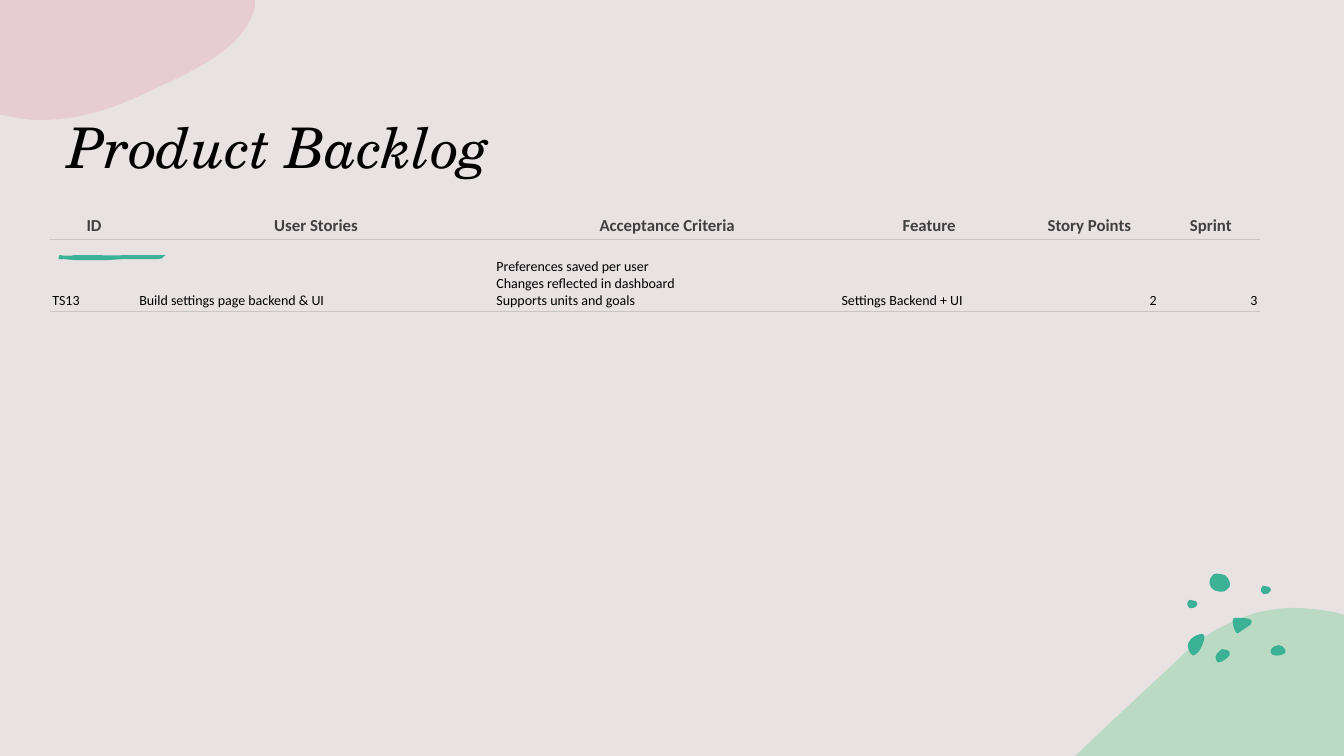
from dataclasses import dataclass

from lxml import etree
from pptx import Presentation
from pptx.dml.color import RGBColor
from pptx.enum.text import MSO_ANCHOR, PP_ALIGN
from pptx.oxml.ns import qn
from pptx.util import Cm, Pt

TOP, BOTTOM = MSO_ANCHOR.TOP, MSO_ANCHOR.BOTTOM
LEFT, MIDDLE, RIGHT = PP_ALIGN.LEFT, PP_ALIGN.CENTER, PP_ALIGN.RIGHT


@dataclass(frozen=True)
class Theme:
    back: str = "E8E2E3"
    pink: str = "E7B8C0"
    green: str = "90D3A7"
    teal: str = "3BB195"
    rule: str = "C7C6C1"
    head: str = "404040"
    ink: str = "000000"
    serif: str = "TeX Gyre Schola"
    sans: str = "Calibri"
    title: int = 40
    label: int = 12
    body: int = 10
    line: float = 0.75


THEME = Theme()
GRID = 2.54 / 100

HILL = [(1288, 603), (1301, 604, 1314, 605, 1327, 608), (1333.4, 610),
        (1333.4, 750), (1067, 750), (1068, 749),
        (1102, 716, 1137, 684, 1169, 654), (1191, 632, 1214, 619, 1237, 611),
        (1254, 605, 1271, 603, 1288, 603)]
CLOUD = [(0, 0), (253, 0), (253, 6), (245, 44, 200, 67, 158, 86),
         (123, 103, 86, 119, 41, 119), (31, 119, 22, 118, 13, 116), (0, 114)]
BRUSH = [(59, 253), (64, 254, 70, 254, 75, 253), (88, 253), (111, 253.4),
         (133, 253), (157, 253), (164, 253), (161, 254, 163, 257, 157, 257),
         (149, 257), (124, 257), (115, 257.5), (107, 258), (92, 258),
         (86, 258), (75, 258), (71, 258, 65, 257, 60, 257),
         (57, 258, 58, 254, 59, 253)]
SPECK = [(0, 0), (0.5, 0, 1, 0, 1, 0.3), (1, 0.4, 0.5, 0.4, 0, 0)]
SPECKS = [(58.5, 257), (60, 257), (163, 253)]
PEBBLE = [(0, 5), (0, 5, 0, 1, 2, 0), (4, 0, 5, 0, 7, 1), (8, 1, 10, 2, 10, 4),
          (10, 5, 9, 7, 8, 7), (8, 7, 8, 8, 6, 8), (5, 8, 3, 9, 2, 8),
          (1, 6, 0, 6, 0, 5)]
SPOTS = [
    (1206, 644, [(7, 0), (9, 0, 10, 0, 12, 1), (14, 2, 15, 4, 14, 6),
                 (12, 9, 6, 14, 2, 13), (1, 12, 0, 10, 0, 8),
                 (0, 6, 2, 3, 4, 2), (5, 1, 6, 0, 7, 0)]),
    (1179, 629, [(12, 0), (14, 0, 16, 0, 16, 2), (16, 3, 16, 3, 16, 4),
                 (15, 9, 13, 14, 10, 18), (8, 20, 5, 23, 3, 20),
                 (0, 17, -1, 12, 0, 9), (1, 6, 3, 5, 5, 3),
                 (6, 3, 9, 0, 12, 0)]),
    (1261, 640, [(8, 0), (10, 0, 13, 2, 14, 4), (15, 6, 15, 8, 12, 9),
                 (9, 11, 1, 11, 0, 8), (-1, 6, 0, 4, 1, 3),
                 (3, 1, 5, 0, 8, 0)]),
    (1200, 569, [(1, 12), (0, 12, -1, 6, 2, 3), (4, 1, 4, 0, 7, 0),
                 (10, 0, 14, 1, 16, 2), (18, 4, 22, 9, 20, 13),
                 (17, 16, 16, 18, 12, 18), (9, 18, 4, 17, 3, 15),
                 (1, 14, 1, 13, 1, 12)]),
    (1251, 581, PEBBLE),
    (1178, 595, PEBBLE),
    (1223, 613, [(5, 0), (11, 0, 22, 0, 18, 6), (18, 7, 17, 8, 16, 8),
                 (13, 10, 10, 12, 7, 14), (6, 15, 5, 16, 4, 15),
                 (4, 15, 3, 14, 3, 14), (1, 10, 0, 7, 0, 3),
                 (0, 2, 0, 1, 1, 0), (2, 0, 3, 0, 5, 0)]),
]

WIDTHS = (2.19, 9, 8.7, 4.5, 3.58, 2.54)
HEADS = ("ID", "User Stories", "Acceptance Criteria", "Feature",
         "Story Points", "Sprint")
STORY = ("TS13", "Build settings page backend & UI",
         "Preferences saved per user\vChanges reflected in dashboard\v"
         "Supports units and goals",
         "Settings Backend + UI", "2", "3")


def bend(shape, parts):
    lines = list(shape.element.spPr.iter(qn("a:lnTo")))
    for line, part in zip(lines, parts):
        if len(part) == 2:
            continue
        line.tag = qn("a:cubicBezTo")
        for spot, (x, y) in enumerate((part[:2], part[2:4])):
            point = etree.Element(qn("a:pt"))
            point.set("x", str(x - shape.left))
            point.set("y", str(y - shape.top))
            line.insert(spot, point)


def add_blob(slide, path, color, left=0, top=0, alpha=None):
    start, *parts = [
        [Cm((n + (top if spot % 2 else left)) * GRID)
         for spot, n in enumerate(part)] for part in path]
    pen = slide.shapes.build_freeform(*start)
    pen.add_line_segments([part[-2:] for part in parts], close=True)
    shape = pen.convert_to_shape()
    bend(shape, parts)
    shape.shadow.inherit = False
    shape.line.fill.background()
    shape.fill.solid()
    shape.fill.fore_color.rgb = RGBColor.from_string(color)
    if alpha:
        tint = shape.element.spPr.find(".//" + qn("a:srgbClr"))
        etree.SubElement(tint, qn("a:alpha")).set("val", str(alpha * 1000))


def style(frame, face, size, color, bold=False, slant=False, align=LEFT):
    for para in frame.paragraphs:
        para.alignment = align
        for run in para.runs:
            font = run.font
            font.name, font.size = face, Pt(size)
            font.bold, font.italic = bold, slant
            font.color.rgb = RGBColor.from_string(color)


def add_title(slide, text):
    box = slide.shapes.add_textbox(Cm(1.45), Cm(2.69), Cm(15.49), Cm(4.39))
    frame = box.text_frame
    frame.word_wrap = True
    frame.vertical_anchor = TOP
    frame.margin_top = Cm(0.15)
    frame.text = text
    style(frame, THEME.serif, THEME.title, THEME.ink, slant=True)


def rule_cell(cell, sides):
    props = cell._tc.get_or_add_tcPr()
    for side in "LRTB":
        line = etree.SubElement(props, qn("a:ln" + side))
        if side in sides:
            line.set("w", str(Pt(THEME.line)))
            fill = etree.SubElement(line, qn("a:solidFill"))
            etree.SubElement(fill, qn("a:srgbClr")).set("val", THEME.rule)
        else:
            line.set("w", "0")
            etree.SubElement(line, qn("a:noFill"))


def fill_cell(cell, text, pads, sides, **look):
    rule_cell(cell, sides)
    cell.fill.background()
    cell.vertical_anchor = BOTTOM
    (cell.margin_left, cell.margin_top,
     cell.margin_right, cell.margin_bottom) = map(Cm, pads)
    cell.text_frame.text = text
    style(cell.text_frame, THEME.sans, **look)


def add_backlog(slide):
    table = slide.shapes.add_table(2, len(HEADS), Cm(1.25), Cm(5.33),
                                   Cm(sum(WIDTHS)), Cm(2.42)).table
    table.first_row = table.horz_banding = False
    table.rows[0].height, table.rows[1].height = Cm(0.61), Cm(1.81)
    for col, (width, head, text) in enumerate(zip(WIDTHS, HEADS, STORY)):
        table.columns[col].width = Cm(width)
        fill_cell(table.cell(0, col), head, (0.18, 0.1, 0.13, 0.1), "B",
                  size=THEME.label, color=THEME.head, bold=True, align=MIDDLE)
        fill_cell(table.cell(1, col), text, (0.07, 0.05, 0.07, 0.05), "TB",
                  size=THEME.body, color=THEME.ink,
                  align=RIGHT if text.isdigit() else LEFT)


def main():
    deck = Presentation()
    deck.slide_width, deck.slide_height = Cm(33.87), Cm(19.05)
    slide = deck.slides.add_slide(deck.slide_layouts[6])
    back = slide.background.fill
    back.solid()
    back.fore_color.rgb = RGBColor.from_string(THEME.back)
    add_blob(slide, HILL, THEME.green, alpha=50)
    for left, top, path in SPOTS:
        add_blob(slide, path, THEME.teal, left, top)
    add_blob(slide, CLOUD, THEME.pink, alpha=50)
    for left, top in SPECKS:
        add_blob(slide, SPECK, THEME.teal, left, top)
    add_blob(slide, BRUSH, THEME.teal)
    add_title(slide, "Product Backlog")
    add_backlog(slide)
    deck.save("out.pptx")


if __name__ == "__main__":
    main()
